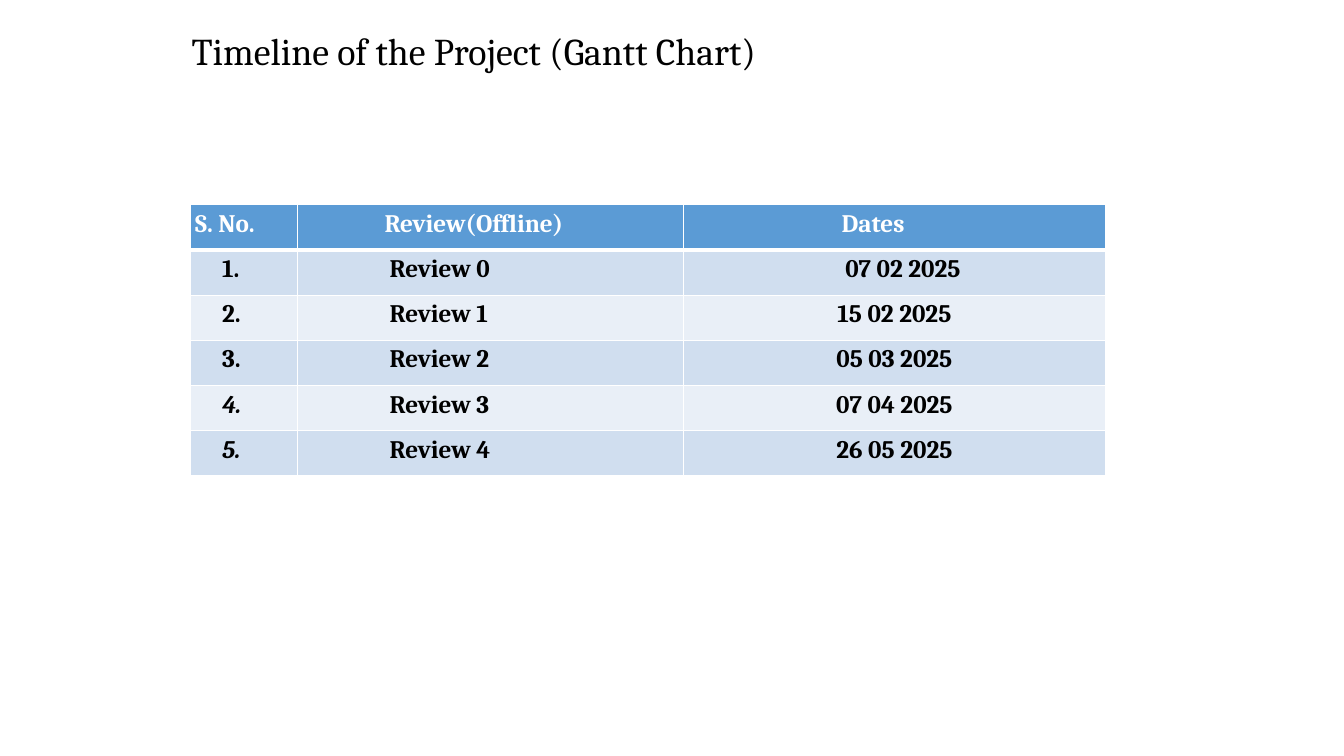
import pptx
import pptx.dml.color
import pptx.enum.text
import pptx.oxml
import pptx.oxml.ns
import pptx.util

Cm = pptx.util.Cm
Pt = pptx.util.Pt
PP_ALIGN = pptx.enum.text.PP_ALIGN
ANCHOR = pptx.enum.text.MSO_ANCHOR

FONT = "Cambria"
COLORS = {
    "text": "000000",
    "header_text": "FFFFFF",
    "header": "5B9BD5",
    "band_dark": "D0DEEF",
    "band_light": "E9EFF7",
    "border": "FFFFFF",
}
HEADERS = ["S. No.", "Review(Offline)", "Dates"]
DATES = ["07 02 2025", "15 02 2025", "05 03 2025", "07 04 2025", "26 05 2025"]
COL_WIDTHS = [2.69, 9.73, 10.64]
HEADER_INDENTS = [0, 2.08, 3.87]
ROW_INDENTS = [0.68, 2.21, 0]
FIRST_DATE_INDENT = 0.43
FIRST_ITALIC_ROW = 4


def rgb(name):
    return pptx.dml.color.RGBColor.from_string(COLORS[name])


def add_run(p, text, size, color, bold=False, italic=False):
    r = p.add_run()
    r.text = text
    r.font.name = FONT
    r.font.size = Pt(size)
    r.font.bold = bold
    r.font.italic = italic
    r.font.color.rgb = rgb(color)


def set_borders(cell, top, bottom):
    tc_pr = cell._tc.get_or_add_tcPr()
    widths = {"lnL": 1, "lnR": 1, "lnT": top, "lnB": bottom}
    for i, (side, width) in enumerate(widths.items()):
        ln = pptx.oxml.parse_xml(
            f'<a:{side} {pptx.oxml.ns.nsdecls("a")} w="{Pt(width)}"><a:solidFill>'
            f'<a:srgbClr val="{COLORS["border"]}"/></a:solidFill></a:{side}>'
        )
        tc_pr.insert(i, ln)


def fill_cell(cell, text, fill, color, indent, align, italic):
    cell.margin_left = cell.margin_right = Cm(0.12)
    cell.margin_top = cell.margin_bottom = Cm(0.12)
    cell.fill.solid()
    cell.fill.fore_color.rgb = rgb(fill)
    p = cell.text_frame.paragraphs[0]
    p.alignment = align
    p._p.get_or_add_pPr().set("marL", str(Cm(indent)))
    add_run(p, text, 18, color, bold=True, italic=italic)


def add_title(s, left, top, width, height):
    sp = s.shapes.add_textbox(Cm(left), Cm(top), Cm(width), Cm(height))
    tf = sp.text_frame
    tf.word_wrap = True
    tf.vertical_anchor = ANCHOR.MIDDLE
    tf.margin_left = tf.margin_right = tf.margin_top = tf.margin_bottom = 0
    p = tf.paragraphs[0]
    p.line_spacing = 0.9
    add_run(p, "Timeline of the Project (Gantt Chart)", 27, "text")


def add_timeline(s, left, top, width, height):
    rows = [HEADERS]
    rows += [[f"{i + 1}.", f"Review {i}", date] for i, date in enumerate(DATES)]
    frame = s.shapes.add_table(
        len(rows), len(HEADERS), Cm(left), Cm(top), Cm(width), Cm(height)
    )
    table = frame.table
    for col, share in zip(table.columns, COL_WIDTHS):
        col.width = Cm(width * share / sum(COL_WIDTHS))
    for i, row in enumerate(rows):
        table.rows[i].height = Cm(height / len(rows))
        header = i == 0
        fill = "header" if header else "band_dark" if i % 2 else "band_light"
        color = "header_text" if header else "text"
        for j, text in enumerate(row):
            cell = table.cell(i, j)
            indent = HEADER_INDENTS[j] if header else ROW_INDENTS[j]
            if (i, j) == (1, 2):
                indent = FIRST_DATE_INDENT
            centred = j == 2 and not header
            align = PP_ALIGN.CENTER if centred else PP_ALIGN.LEFT
            italic = j == 0 and i >= FIRST_ITALIC_ROW
            fill_cell(cell, text, fill, color, indent, align, italic)
            set_borders(cell, 3 if i == 1 else 1, 3 if header else 1)


def main():
    prs = pptx.Presentation()
    prs.slide_width = Cm(33.87)
    prs.slide_height = Cm(19.05)
    s = prs.slides.add_slide(prs.slide_layouts[6])
    add_title(s, 4.83, 0.66, 29.04, 1.35)
    add_timeline(s, 4.8, 5.16, sum(COL_WIDTHS), 6.84)
    prs.save("out.pptx")


if __name__ == "__main__":
    main()
